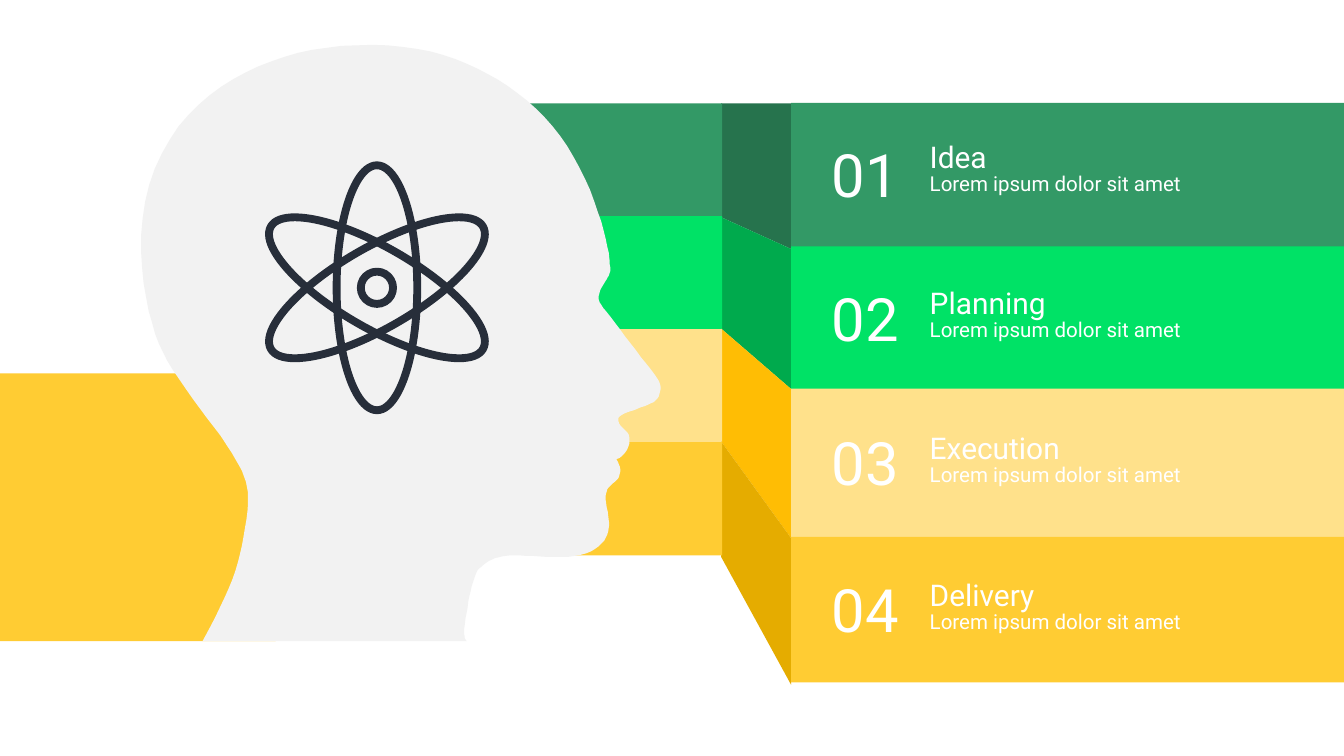
"""Builds a slide with a head, an atom and four numbered folded bands."""
from pptx import Presentation
from pptx.dml.color import RGBColor
from pptx.enum.shapes import MSO_SHAPE
from pptx.enum.text import MSO_ANCHOR, MSO_AUTO_SIZE, PP_ALIGN
from pptx.util import Pt

RECT, OVAL = MSO_SHAPE.RECTANGLE, MSO_SHAPE.OVAL
TOP, MIDDLE = MSO_ANCHOR.TOP, MSO_ANCHOR.MIDDLE
LEFT, GROW = PP_ALIGN.LEFT, MSO_AUTO_SIZE.SHAPE_TO_FIT_TEXT
PX = 9144
STEPS = 12

THEME = {
    "font": "Roboto", "text": "FFFFFF", "head": "F2F2F2", "atom": "272E3A", "neck": "FFCC33",
    "bands": ["339966", "00E266", "FFE18B", "FFCC33"],
    "folds": ["26734D", "00AA4D", "FFBD04", "E5AC00"],
    "number": 85.3, "title": 42.7, "body": 29.3, "stroke": 11.2,
}


def write(tf, text, size, new=False, spacing=1.0, anchor=TOP, insets=(0, 5, 0, 5)):
    tf.word_wrap = True
    tf.vertical_anchor = anchor
    tf.margin_left, tf.margin_top, tf.margin_right, tf.margin_bottom = (v * PX for v in insets)
    p = tf.add_paragraph() if new else tf.paragraphs[0]
    p.alignment = LEFT
    p.line_spacing = spacing
    r = p.add_run()
    r.text = text
    r.font.name = THEME["font"]
    r.font.size = Pt(size)
    r.font.color.rgb = RGBColor.from_string(THEME["text"])


def outline(start, segments, color):
    points = [start]
    for seg in segments:
        if len(seg) == 2:
            points.append(seg)
            continue
        x0, y0 = points[-1]
        x1, y1, x2, y2, x3, y3 = seg
        for i in range(1, STEPS + 1):
            t = i / STEPS
            a, b, c, d = (1 - t) ** 3, 3 * t * (1 - t) ** 2, 3 * t * t * (1 - t), t ** 3
            points.append((a * x0 + b * x1 + c * x2 + d * x3, a * y0 + b * y1 + c * y2 + d * y3))
    builder = s.shapes.build_freeform(*start, scale=PX)
    builder.add_line_segments(points[1:], close=True)
    sp = builder.convert_to_shape()
    sp.shadow.inherit = False
    sp.fill.solid()
    sp.fill.fore_color.rgb = RGBColor.from_string(color)
    sp.line.fill.background()


prs = Presentation()
prs.slide_width, prs.slide_height = 2667 * PX, 1500 * PX
s = prs.slides.add_slide(prs.slide_layouts[6])

outline((-226, 741), [(448, 741), (666, 899, 682, 1090, 547, 1272), (-226, 1272)], THEME["neck"])

near_edges = [205, 431, 652, 876, 1105]
far_edges = [205, 494, 772, 1068, 1359]
rows = [
    ("Idea", 204, 286, 281),
    ("Planning", 489, 289, 571),
    ("Execution", 771, 296, 858),
    ("Delivery", 1065, 289, 1151),
]
for i, (title, top, height, text_top) in enumerate(rows):
    outline((1431, near_edges[i]),
            [(1570, far_edges[i]), (1570, far_edges[i + 1]), (1431, near_edges[i + 1])],
            THEME["folds"][i])
    for x, y, w, h in [(1051, 205 + 224 * i, 382, 225), (1570, top, 1331, height)]:
        sp = s.shapes.add_shape(RECT, x * PX, y * PX, w * PX, h * PX)
        sp.shadow.inherit = False
        sp.fill.solid()
        sp.fill.fore_color.rgb = RGBColor.from_string(THEME["bands"][i])
        sp.line.fill.background()
    write(sp.text_frame, f"{i + 1:02}", THEME["number"], anchor=MIDDLE, insets=(80, 0, 10, 5))
    tf = s.shapes.add_textbox(1845 * PX, text_top * PX, 756 * PX, 113 * PX).text_frame
    tf.auto_size = GROW
    write(tf, title, THEME["title"], spacing=0.85)
    write(tf, "Lorem ipsum dolor sit amet", THEME["body"], new=True, spacing=0.85)

outline((402, 1272), [
    (926, 1272),
    (926, 1272, 917, 1267, 923, 1234),
    (928, 1201, 937, 1141, 952, 1127),
    (966, 1114, 982, 1102, 1021, 1102),
    (1061, 1102, 1138, 1113, 1173, 1094),
    (1208, 1074, 1213, 1052, 1206, 1015),
    (1198, 980, 1202, 971, 1216, 959),
    (1232, 948, 1236, 933, 1223, 911),
    (1246, 903, 1259, 870, 1241, 854),
    (1225, 839, 1221, 829, 1236, 822),
    (1250, 815, 1296, 803, 1303, 792),
    (1310, 783, 1319, 766, 1296, 739),
    (1275, 712, 1203, 618, 1194, 606),
    (1185, 594, 1186, 583, 1199, 562),
    (1211, 542, 1213, 544, 1209, 511),
    (1205, 478, 1181, 374, 1125, 289),
    (1070, 205, 993, 152, 903, 117),
    (813, 81, 668, 80, 564, 113),
    (460, 146, 359, 208, 307, 335),
    (255, 463, 289, 615, 315, 681),
    (341, 746, 423, 839, 459, 897),
    (494, 954, 498, 975, 486, 1048),
    (474, 1122, 459, 1170, 402, 1272),
], THEME["head"])

for rx, ry, angle in [(80, 243, 0), (80, 243, 60), (80, 243, 300), (32, 32, 0)]:
    sp = s.shapes.add_shape(OVAL, (748 - rx) * PX, (571 - ry) * PX, 2 * rx * PX, 2 * ry * PX)
    sp.rotation = angle
    sp.shadow.inherit = False
    sp.fill.background()
    sp.line.color.rgb = RGBColor.from_string(THEME["atom"])
    sp.line.width = Pt(THEME["stroke"])

prs.save("out.pptx")
